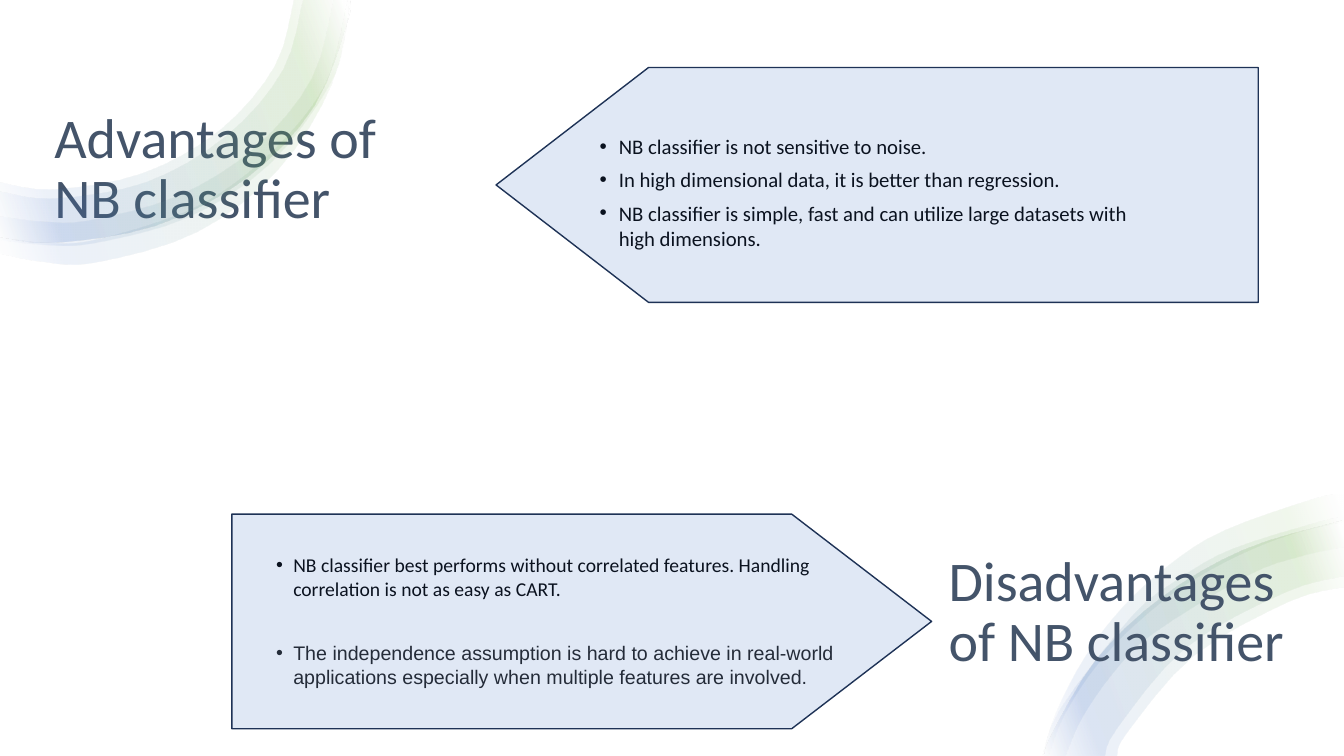
from dataclasses import dataclass
from lxml.etree import SubElement
from pptx import Presentation
from pptx.dml.color import RGBColor
from pptx.enum.shapes import MSO_SHAPE
from pptx.enum.text import MSO_ANCHOR
from pptx.oxml.ns import qn
from pptx.util import Inches, Pt

WIDE, HIGH = 13.33, 7.5
GRID = 1000  # outline units per inch


@dataclass(frozen=True)
class Theme:
    font: str = "Calibri"
    alt_font: str = "Arial"
    head: str = "44546A"
    ink: str = "000000"
    soft: str = "1F1F1F"
    blue: str = "4472C4"
    green: str = "70AD47"
    white: str = "FFFFFF"
    edge: str = "1E3256"
    head_size: float = 40
    pro_size: float = 14.8
    con_size: float = 14


def write(para, text, font, size, color, after=0, lead=None, dent=0):
    """Put text in a paragraph; a dent above zero adds a bullet."""
    run = para.add_run()
    run.text = text
    run.font.name, run.font.size = font, Pt(size)
    run.font.color.rgb = RGBColor.from_string(color)
    para.space_after = Pt(after)
    if lead:
        para.line_spacing = lead
    if dent:
        props = para._p.get_or_add_pPr()
        props.set("marL", str(Inches(dent)))
        props.set("indent", str(-Inches(dent)))
        SubElement(props, qn("a:buFont")).set("typeface", "Arial")
        SubElement(props, qn("a:buChar")).set("char", "•")


def tint(node, color, alpha):
    """Add a clear colour, with alpha in percent, to a fill node."""
    tone = SubElement(node, qn("a:srgbClr"))
    tone.set("val", color)
    SubElement(tone, qn("a:alpha")).set("val", str(alpha * 1000))


def curve(knots, steps=4):
    """Trace a smooth line through the knots (Catmull-Rom), in grid units."""
    pts = [knots[0], *knots, knots[-1]]
    line = []
    for a, b, c, d in zip(pts, pts[1:], pts[2:], pts[3:]):
        for i in range(steps):
            t = i / steps
            line.append(tuple(
                (2 * q + (r - p) * t + (2 * p - 5 * q + 4 * r - s) * t ** 2
                 + (3 * q - p - 3 * r + s) * t ** 3) / 2
                for p, q, r, s in zip(a, b, c, d)))
    return [(round(x * GRID), round(y * GRID)) for x, y in line + [knots[-1]]]


class Deck:
    def __init__(self, theme):
        self.theme = theme
        self.show = Presentation()
        self.show.slide_width, self.show.slide_height = Inches(WIDE), Inches(HIGH)
        self.slide = self.show.slides.add_slide(self.show.slide_layouts[6])

    def sheet(self):
        """Cover the whole slide with a plain white sheet."""
        shape = self.slide.shapes.add_shape(
            MSO_SHAPE.RECTANGLE, 0, 0, Inches(WIDE), Inches(HIGH))
        shape.shadow.inherit = False
        shape.fill.solid()
        shape.fill.fore_color.rgb = RGBColor.from_string(self.theme.white)
        shape.line.fill.background()

    def box(self, x, y, w, h, anchor=MSO_ANCHOR.TOP):
        frame = self.slide.shapes.add_textbox(*map(Inches, (x, y, w, h))).text_frame
        frame.word_wrap = True
        frame.vertical_anchor = anchor
        return frame

    def title(self, text, x, y, w, h):
        look = self.theme
        frame = self.box(x, y, w, h, MSO_ANCHOR.MIDDLE)
        write(frame.paragraphs[0], text, look.font, look.head_size, look.head, lead=0.9)

    def points(self, items, x, y, w, h, **style):
        frame = self.box(x, y, w, h)
        for i, (text, font, color) in enumerate(items):
            para = frame.add_paragraph() if i else frame.paragraphs[0]
            write(para, text, font, color=color, **style)

    def band(self, outer, inner):
        look = self.theme
        first, *rest = curve(outer) + curve(inner)
        pen = self.slide.shapes.build_freeform(*first, scale=Inches(1) / GRID)
        pen.add_line_segments(rest, close=True)
        shape = pen.convert_to_shape()
        shape.shadow.inherit = False
        shape.line.fill.background()
        shape.fill.gradient()
        shape.fill.gradient_angle = 200
        stops = shape._element.spPr.find(qn("a:gradFill")).find(qn("a:gsLst"))
        for stop in list(stops):
            stops.remove(stop)
        for place, color in ((2, look.white), (16, look.green),
                             (85, look.blue), (100, look.white)):
            stop = SubElement(stops, qn("a:gs"))
            stop.set("pos", str(place * 1000))
            tint(stop, color, 10)

    def arrow(self, x, y, w, h, turn):
        """Draw a pointed panel; the preset points down before the turn."""
        left, top = x + (w - h) / 2, y + (h - w) / 2
        shape = self.slide.shapes.add_shape(
            MSO_SHAPE.FLOWCHART_OFFPAGE_CONNECTOR, *map(Inches, (left, top, h, w)))
        shape.rotation = turn
        shape.shadow.inherit = False
        shape.fill.solid()
        shape.fill.fore_color.rgb = RGBColor.from_string(self.theme.blue)
        fill = shape._element.spPr.find(qn("a:solidFill"))
        fill.remove(fill[0])
        tint(fill, self.theme.blue, 16)
        shape.line.color.rgb = RGBColor.from_string(self.theme.edge)
        shape.line.width = Pt(1)


# Knots of the ring edges: outer edge, then inner edge back
TOP_RIM = [(3.46, 0), (3.45, 0.19), (3.11, 1.06), (2.44, 1.77), (1.54, 2.24),
           (0.53, 2.41), (0, 2.35)]
LOW_RIM = [(10.36, HIGH), (10.43, 7.29), (10.87, 6.55), (11.52, 5.93),
           (12.33, 5.46), (13.23, 5.19), (WIDE, 5.18)]
TOP_RING = [
    (TOP_RIM, [(0, 1.81), (0.53, 1.88), (1.41, 1.72), (2.18, 1.29),
               (2.72, 0.66), (2.91, 0)]),
    (TOP_RIM, [(0, 1.9), (0.53, 1.97), (1.44, 1.81), (2.24, 1.35),
               (2.8, 0.7), (3, 0)]),
    ([(3.46, 0), (3.41, 0.41), (3.26, 0.86), (2.68, 1.62), (1.87, 2.15),
      (0.91, 2.41), (0.42, 2.42), (0, 2.37)],
     [(0, 2.14), (0.43, 2.19), (0.88, 2.18), (1.76, 1.94), (2.53, 1.46),
      (3.09, 0.78), (3.31, 0)]),
    ([(3.48, 0), (3.29, 0.84), (2.76, 1.68), (1.95, 2.3), (0.94, 2.6),
      (0.41, 2.59), (0, 2.51)],
     [(0, 2.35), (0.43, 2.4), (0.91, 2.38), (1.83, 2.1), (2.45, 1.72),
      (2.97, 1.21), (3.27, 0.73), (3.45, 0)]),
]
LOW_RING = [
    ([(10.34, HIGH), (10.48, 7.06), (10.76, 6.52), (11.13, 6.03), (11.59, 5.61),
      (12.13, 5.27), (13.04, 4.95), (WIDE, 4.91)],
     [(WIDE, 5.18), (12.82, 5.3), (12.27, 5.52), (11.75, 5.81), (11.29, 6.17),
      (10.88, 6.6), (10.56, 7.09), (10.4, HIGH)]),
    (LOW_RIM, [(WIDE, 5.83), (12.79, 5.97), (11.84, 6.51), (11.18, 7.27),
               (11.08, HIGH)]),
    ([(10.35, HIGH), (10.52, 7.03), (11.23, 6.11), (11.7, 5.74), (12.22, 5.45),
      (13.09, 5.18), (WIDE, 5.14)],
     [(WIDE, 5.43), (12.88, 5.53), (12.36, 5.72), (11.42, 6.3), (11.04, 6.68),
      (10.73, 7.13), (10.57, HIGH)]),
    (LOW_RIM, [(WIDE, 5.72), (12.75, 5.88), (11.76, 6.43), (11.08, 7.23),
               (10.96, HIGH)]),
]
PROS = ["NB classifier is not sensitive to noise.",
        "In high dimensional data, it is better than regression.",
        "NB classifier is simple, fast and can utilize large datasets with high dimensions."]


def main():
    look = Theme()
    deck = Deck(look)
    # Sheet, titles and corner rings
    deck.sheet()
    deck.title("Advantages of NB classifier", 0.44, 0.64, 3.72, 2.1)
    for outer, inner in TOP_RING + LOW_RING:
        deck.band(outer, inner)
    # Bullet lists and the second title
    deck.points([(text, look.font, look.ink) for text in PROS],
                5.85, 1.28, 5.8, 1.2, size=look.pro_size, after=6, dent=0.19)
    deck.title("Disadvantages of NB classifier", 9.31, 5.38, 3.6, 1.41)
    deck.points([("NB classifier best performs without correlated features. Handling "
                  "correlation is not as easy as CART.", look.font, look.ink),
                 ("The independence assumption is hard to achieve in real-world applications "
                  "especially when multiple features are involved.", look.alt_font, look.soft)],
                2.64, 5.44, 5.89, 1.5, size=look.con_size, after=29, dent=0.17)
    # Clear panels over the lists
    deck.arrow(2.3, 5.1, 6.94, 2.13, 270)
    deck.arrow(4.92, 0.67, 7.56, 2.33, 90)
    deck.show.save("out.pptx")


if __name__ == "__main__":
    main()
